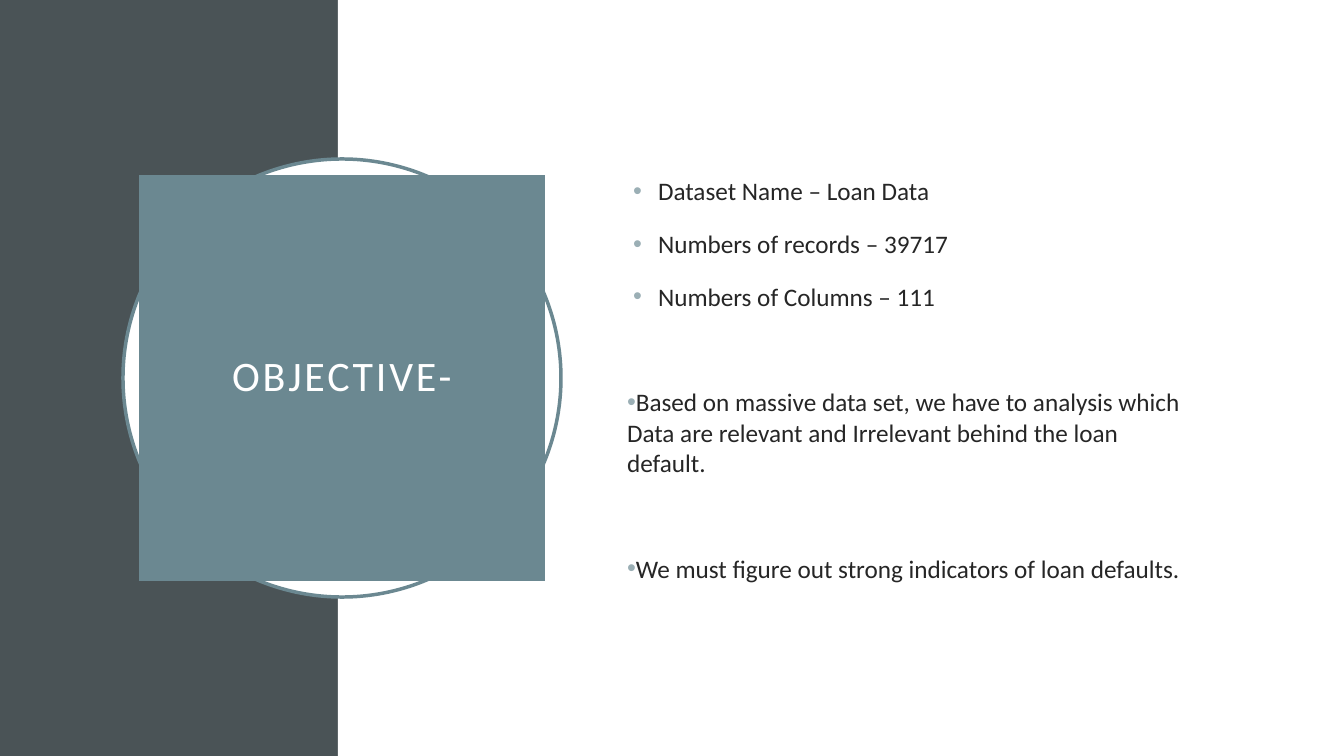
from dataclasses import dataclass

from lxml.etree import SubElement
from pptx import Presentation
from pptx.dml.color import RGBColor
from pptx.enum.shapes import MSO_SHAPE as Preset
from pptx.enum.text import MSO_ANCHOR as Anchor, MSO_AUTO_SIZE as AutoSize, PP_ALIGN as Align
from pptx.oxml.ns import qn
from pptx.util import Emu, Pt

FONT = "Calibri"
COLOURS = {
    "slate": "4A5356",
    "teal": "6B8891",
    "white": "FFFFFF",
    "text": "262626",
    "bullet": "9BAFB5",
}


@dataclass(frozen=True)
class Box:
    left: int
    top: int
    width: int
    height: int


@dataclass(frozen=True)
class Panel:
    preset: Preset
    box: Box
    fill: str
    line: str | None = None


@dataclass(frozen=True)
class Item:
    text: str
    margin: int = 0
    hang: int = 0
    space_before: int = 16


SLIDE = Box(0, 0, 1344, 756)
TITLE_BOX = Box(139, 175, 406, 406)
BODY_BOX = Box(617, 156, 587, 447)

PANELS = [
    Panel(Preset.RECTANGLE, Box(0, 0, 338, 756), "slate"),
    Panel(Preset.RECTANGLE, Box(338, 0, 1006, 756), "white"),
    Panel(Preset.OVAL, Box(123, 159, 438, 438), "white", "teal"),
]

ITEMS = [
    Item("Dataset Name – Loan Data", 31, 25, 0),
    Item("Numbers of records – 39717", 31, 25),
    Item("Numbers of Columns – 111", 31, 25),
    Item("Based on massive data set, we have to analysis which "
         "Data are relevant and Irrelevant behind the loan default.", space_before=54),
    Item("We must figure out strong indicators of loan defaults.", space_before=54),
]


def px(length: int) -> Emu:
    return Emu(round(length * 914400 / 100.8))


def colour(name: str) -> RGBColor:
    return RGBColor.from_string(COLOURS[name])


def place(shape, box: Box) -> None:
    shape.left, shape.top = px(box.left), px(box.top)
    shape.width, shape.height = px(box.width), px(box.height)


def bring_to_front(shape) -> None:
    shape.element.getparent().append(shape.element)


def style_font(paragraph, size: int, colour_name: str) -> None:
    font = paragraph.font
    font.name, font.size = FONT, Pt(size)
    font.color.rgb = colour(colour_name)


def add_panel(slide, panel: Panel) -> None:
    box = panel.box
    shape = slide.shapes.add_shape(
        panel.preset, px(box.left), px(box.top), px(box.width), px(box.height))
    shape.shadow.inherit = False
    shape.fill.solid()
    shape.fill.fore_color.rgb = colour(panel.fill)
    if panel.line:
        shape.line.color.rgb = colour(panel.line)
        shape.line.width = Pt(2.5)
    else:
        shape.line.fill.background()


def set_bullet(paragraph, item: Item) -> None:
    properties = paragraph._p.get_or_add_pPr()
    properties.set("marL", str(px(item.margin)))
    properties.set("indent", str(-px(item.hang)))
    bullet_colour = SubElement(properties, qn("a:buClr"))
    SubElement(bullet_colour, qn("a:srgbClr"), val=COLOURS["bullet"])
    SubElement(properties, qn("a:buFont"), typeface="Arial")
    SubElement(properties, qn("a:buChar"), char="•")


def fill_title(title, text: str) -> None:
    place(title, TITLE_BOX)
    title.fill.solid()
    title.fill.fore_color.rgb = colour("teal")
    frame = title.text_frame
    frame.auto_size, frame.word_wrap = AutoSize.NONE, True
    frame.vertical_anchor = Anchor.MIDDLE
    paragraph = frame.paragraphs[0]
    run = paragraph.add_run()
    run.text = text
    run._r.get_or_add_rPr().set("spc", "200")
    paragraph.alignment = Align.CENTER
    paragraph.line_spacing = 0.9
    style_font(paragraph, 30, "white")


def fill_body(body, items: list[Item]) -> None:
    place(body, BODY_BOX)
    frame = body.text_frame
    frame.auto_size, frame.word_wrap = AutoSize.NONE, True
    frame.vertical_anchor = Anchor.MIDDLE
    for index, item in enumerate(items):
        paragraph = frame.add_paragraph() if index else frame.paragraphs[0]
        paragraph.text = item.text
        set_bullet(paragraph, item)
        paragraph.space_before = Pt(item.space_before)
        paragraph.space_after = Pt(0)
        style_font(paragraph, 18, "text")


def main() -> None:
    presentation = Presentation()
    presentation.slide_width = px(SLIDE.width)
    presentation.slide_height = px(SLIDE.height)
    slide = presentation.slides.add_slide(presentation.slide_layouts[1])

    # Background panels and ring
    for panel in PANELS:
        add_panel(slide, panel)

    # Title and list, in front of the panels
    title, body = slide.shapes.title, slide.placeholders[1]
    fill_title(title, "OBJECTIVE-")
    fill_body(body, ITEMS)
    bring_to_front(title)
    bring_to_front(body)

    presentation.save("out.pptx")


if __name__ == "__main__":
    main()
